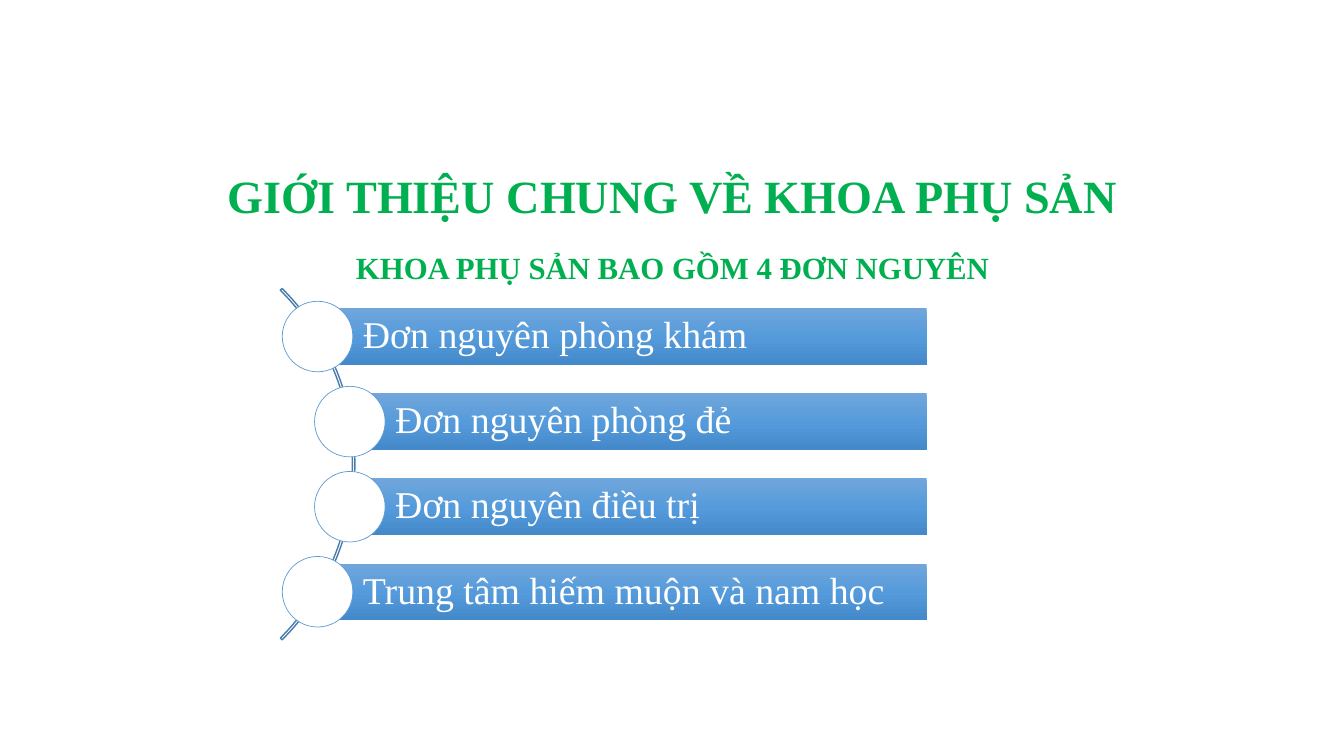
from copy import deepcopy

from pptx import Presentation
from pptx.dml.color import RGBColor
from pptx.enum.shapes import MSO_SHAPE
from pptx.enum.text import MSO_ANCHOR, PP_ALIGN
from pptx.oxml.ns import qn
from pptx.util import Inches, Pt

ARC, BAR, CIRCLE = MSO_SHAPE.BLOCK_ARC, MSO_SHAPE.RECTANGLE, MSO_SHAPE.OVAL
TOP, MIDDLE = MSO_ANCHOR.TOP, MSO_ANCHOR.MIDDLE
LEFT, CENTER = PP_ALIGN.LEFT, PP_ALIGN.CENTER
FONT = "Times New Roman"
GREEN, WHITE, ARC_BLUE, RING_BLUE = "00B050", "FFFFFF", "497CAB", "5B9BD5"
BAR_STOPS = [(0, "71A6DB"), (0.5, "559BDB"), (1, "448ACA")]
UNITS = [
    "Đơn nguyên phòng khám",
    "Đơn nguyên phòng đẻ",
    "Đơn nguyên điều trị",
    "Trung tâm hiếm muộn và nam học",
]


def color(value):
    """Turn a hex string into a colour."""
    return RGBColor.from_string(value)


def write(shape, text, size, shade, align, anchor, bold=False):
    """Put one styled paragraph into a shape."""
    frame = shape.text_frame
    frame.word_wrap = True
    frame.vertical_anchor = anchor
    para = frame.paragraphs[0]
    para.text = text
    para.alignment = align
    para.line_spacing = 0.9
    para.font.name = FONT
    para.font.size = Pt(size)
    para.font.bold = bold
    para.font.color.rgb = color(shade)


def add_heading(page, box, text, size, anchor):
    """Add a centred bold green heading."""
    shape = page.shapes.add_textbox(*map(Inches, box))
    write(shape, text, size, GREEN, CENTER, anchor, bold=True)


def add_outlined(page, kind, box, line, width, fill=None):
    """Add an outlined shape, hollow unless a fill is given."""
    shape = page.shapes.add_shape(kind, *map(Inches, box))
    shape.shadow.inherit = False
    shape.line.color.rgb = color(line)
    shape.line.width = Pt(width)
    if fill:
        shape.fill.solid()
        shape.fill.fore_color.rgb = color(fill)
    else:
        shape.fill.background()
    return shape


def add_bar(page, box, text):
    """Add a gradient bar with its label."""
    bar = page.shapes.add_shape(BAR, *map(Inches, box))
    bar.shadow.inherit = False
    bar.line.fill.background()
    bar.fill.gradient()
    bar.fill.gradient_angle = 270
    first_stop = next(bar._element.spPr.iter(qn("a:gs")))
    first_stop.addnext(deepcopy(first_stop))
    for stop, (position, shade) in zip(bar.fill.gradient_stops, BAR_STOPS):
        stop.position = position
        stop.color.rgb = color(shade)
    frame = bar.text_frame
    frame.margin_left = Inches(0.45)
    frame.margin_top = frame.margin_right = frame.margin_bottom = Inches(0.07)
    write(bar, text, 27, WHITE, LEFT, MIDDLE)


def add_unit_list(page, box):
    """Add the curved list of units inside the box."""
    left, top, width, height = box
    diameter, bar_height, arc_size, inset = 0.7, 0.56, 4.93, 0.32
    pitch = 0.844
    middle = top + height / 2
    arc_box = (left - 4.21, middle - arc_size / 2, arc_size, arc_size)
    arc = add_outlined(page, ARC, arc_box, ARC_BLUE, 1)
    for index, value in enumerate((189, 27, 0.005)):
        arc.adjustments[index] = value
    for index, unit in enumerate(UNITS):
        center_x = left + diameter / 2 + (inset if index in (1, 2) else 0)
        center_y = middle + (index - (len(UNITS) - 1) / 2) * pitch
        bar_box = (center_x, center_y - bar_height / 2, left + width - center_x, bar_height)
        add_bar(page, bar_box, unit)
        circle_box = (center_x - diameter / 2, center_y - diameter / 2, diameter, diameter)
        add_outlined(page, CIRCLE, circle_box, RING_BLUE, 0.5, WHITE)


def main():
    """Build and save the slide."""
    deck = Presentation()
    deck.slide_width, deck.slide_height = Inches(13.33), Inches(7.5)
    page = deck.slides.add_slide(deck.slide_layouts[6])
    add_heading(page, (0.92, 1.47, 11.5, 0.99), "GIỚI THIỆU CHUNG VỀ KHOA PHỤ SẢN", 33, MIDDLE)
    add_heading(page, (0.92, 2.46, 11.5, 4.3), "KHOA PHỤ SẢN BAO GỒM 4 ĐƠN NGUYÊN", 22, TOP)
    add_unit_list(page, (2.8, 2.86, 6.39, 3.49))
    deck.save("out.pptx")


if __name__ == "__main__":
    main()
